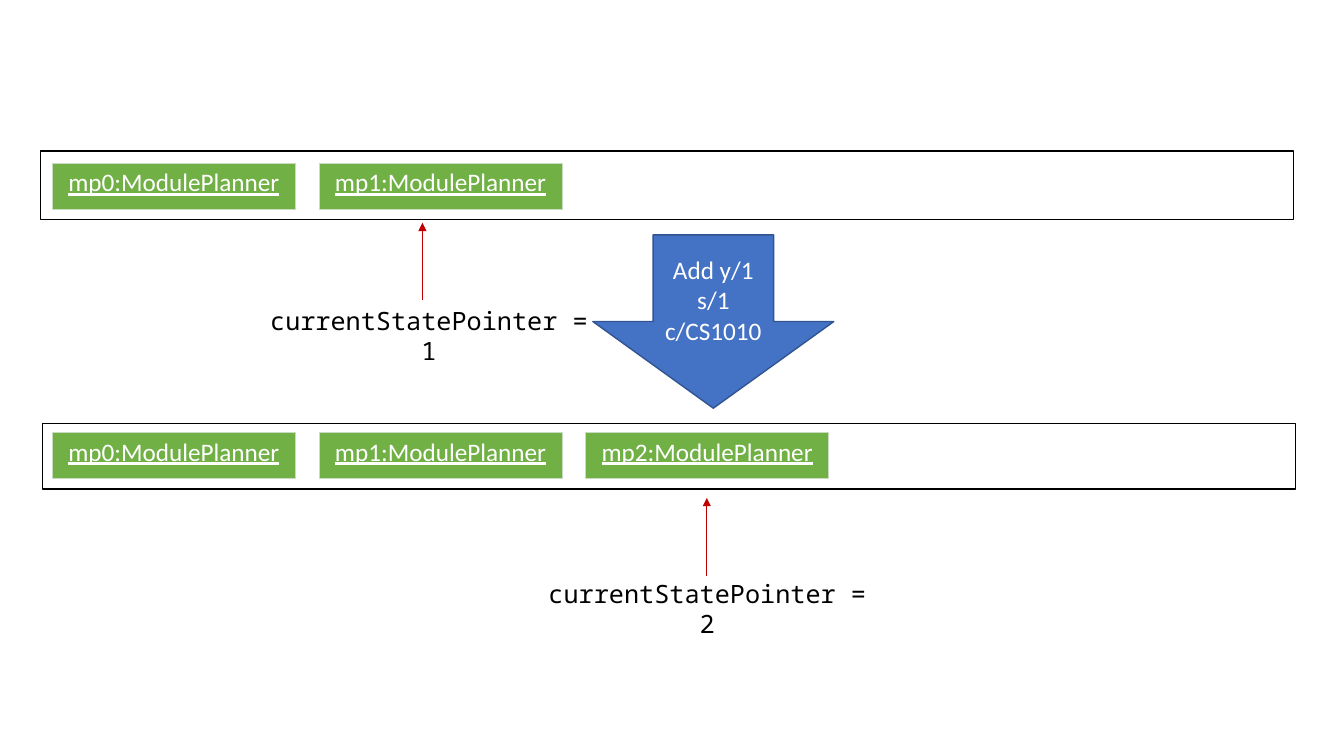
from dataclasses import dataclass

from pptx import Presentation
from pptx.dml.color import RGBColor
from pptx.enum.shapes import MSO_CONNECTOR as Connector, MSO_SHAPE as Shape
from pptx.enum.text import MSO_ANCHOR as Anchor, PP_ALIGN as Align
from pptx.oxml.ns import qn
from pptx.util import Inches, Pt
from lxml.etree import SubElement

BLACK = RGBColor(0x00, 0x00, 0x00)
WHITE = RGBColor(0xFF, 0xFF, 0xFF)
GREEN = RGBColor(0x70, 0xB0, 0x44)
PALE_GREEN = RGBColor(0xC9, 0xDB, 0xC1)
BLUE = RGBColor(0x44, 0x72, 0xC4)
DARK_BLUE = RGBColor(0x32, 0x54, 0x91)
RED = RGBColor(0xC0, 0x00, 0x00)

SLIDE_WIDTH, SLIDE_HEIGHT = Inches(13.33), Inches(7.5)

# Lengths are percentages of the slide's width and height
CARD_LEFT, CARD_PITCH = 3.9, 19.84
CARD_WIDTH, CARD_HEIGHT = 18.08, 6.13
POINTER_RISE = 10.27
LABEL_WIDTH, LABEL_HEIGHT = 26.33, 5.33


@dataclass
class Area:
    left: float
    top: float
    width: float
    height: float

    def place(self) -> tuple:
        return across(self.left), down(self.top), across(self.width), down(self.height)


@dataclass
class State:
    frame: Area
    cards_top: float
    planners: int
    pointer_x: float
    pointer_base: float
    label: Area


STATES = [
    State(Area(3, 20, 93.25, 9.07), 21.55, 2, 31.43, 39.73,
          Area(18.75, 39.73, LABEL_WIDTH, LABEL_HEIGHT)),
    State(Area(3.15, 56, 93.25, 8.67), 57.15, 3, 52.59, 76.13,
          Area(39.46, 75.87, LABEL_WIDTH, LABEL_HEIGHT)),
]
COMMAND_AREA = Area(44.11, 31.07, 17.93, 22.93)


def across(share: float) -> int:
    return round(SLIDE_WIDTH * share / 100)


def down(share: float) -> int:
    return round(SLIDE_HEIGHT * share / 100)


def write(frame, text: str, *, color: RGBColor = WHITE, font: str = "Calibri",
          size: float = 18, underline: bool = False) -> None:
    frame.word_wrap = True
    para = frame.paragraphs[0]
    para.alignment = Align.CENTER
    span = para.add_run()
    span.text = text
    span.font.name, span.font.size = font, Pt(size)
    span.font.color.rgb = color
    span.font.underline = underline


def add_outline(page, kind, area: Area, line: RGBColor, fill: RGBColor | None = None):
    shape = page.shapes.add_shape(kind, *area.place())
    shape.shadow.inherit = False
    if fill is None:
        shape.fill.background()
    else:
        shape.fill.solid()
        shape.fill.fore_color.rgb = fill
    shape.line.color.rgb = line
    shape.line.width = Pt(1)
    return shape


def add_borders(cell, color: RGBColor, width: float) -> None:
    properties = cell._tc.get_or_add_tcPr()
    for position, side in enumerate(("a:lnL", "a:lnR", "a:lnT", "a:lnB")):
        border = properties.makeelement(qn(side), {"w": str(Pt(width))})
        fill = SubElement(border, qn("a:solidFill"))
        SubElement(fill, qn("a:srgbClr"), val=str(color))
        properties.insert(position, border)


def add_card(page, area: Area, text: str) -> None:
    table = page.shapes.add_table(1, 1, *area.place()).table
    table.first_row = table.horz_banding = False
    cell = table.cell(0, 0)
    cell.fill.solid()
    cell.fill.fore_color.rgb = GREEN
    add_borders(cell, PALE_GREEN, 0.5)
    write(cell.text_frame, text, underline=True)


def add_pointer(page, x: float, base: float) -> None:
    arrow = page.shapes.add_connector(Connector.STRAIGHT, across(x), down(base),
                                      across(x), down(base - POINTER_RISE))
    arrow.line.color.rgb = RED
    arrow.line.width = Pt(0.5)
    SubElement(arrow.line._get_or_add_ln(), qn("a:tailEnd"), type="triangle")
    SubElement(arrow._element.spPr, qn("a:effectLst"))


def add_state(page, state: State) -> None:
    add_outline(page, Shape.RECTANGLE, state.frame, BLACK)
    for index in range(state.planners):
        area = Area(CARD_LEFT + index * CARD_PITCH, state.cards_top, CARD_WIDTH, CARD_HEIGHT)
        add_card(page, area, f"mp{index}:ModulePlanner")
    add_pointer(page, state.pointer_x, state.pointer_base)
    box = page.shapes.add_textbox(*state.label.place())
    write(box.text_frame, f"currentStatePointer = {state.planners - 1}",
          color=BLACK, font="Noto Sans Mono")


def main() -> None:
    deck = Presentation()
    deck.slide_width, deck.slide_height = SLIDE_WIDTH, SLIDE_HEIGHT
    page = deck.slides.add_slide(deck.slide_layouts[6])

    # Command that leads from the first state to the second
    command = add_outline(page, Shape.DOWN_ARROW, COMMAND_AREA, DARK_BLUE, BLUE)
    command.text_frame.vertical_anchor = Anchor.MIDDLE
    write(command.text_frame, "Add y/1 s/1 c/CS1010")

    # State lists with their pointers
    for state in STATES:
        add_state(page, state)

    deck.save("out.pptx")


if __name__ == "__main__":
    main()
